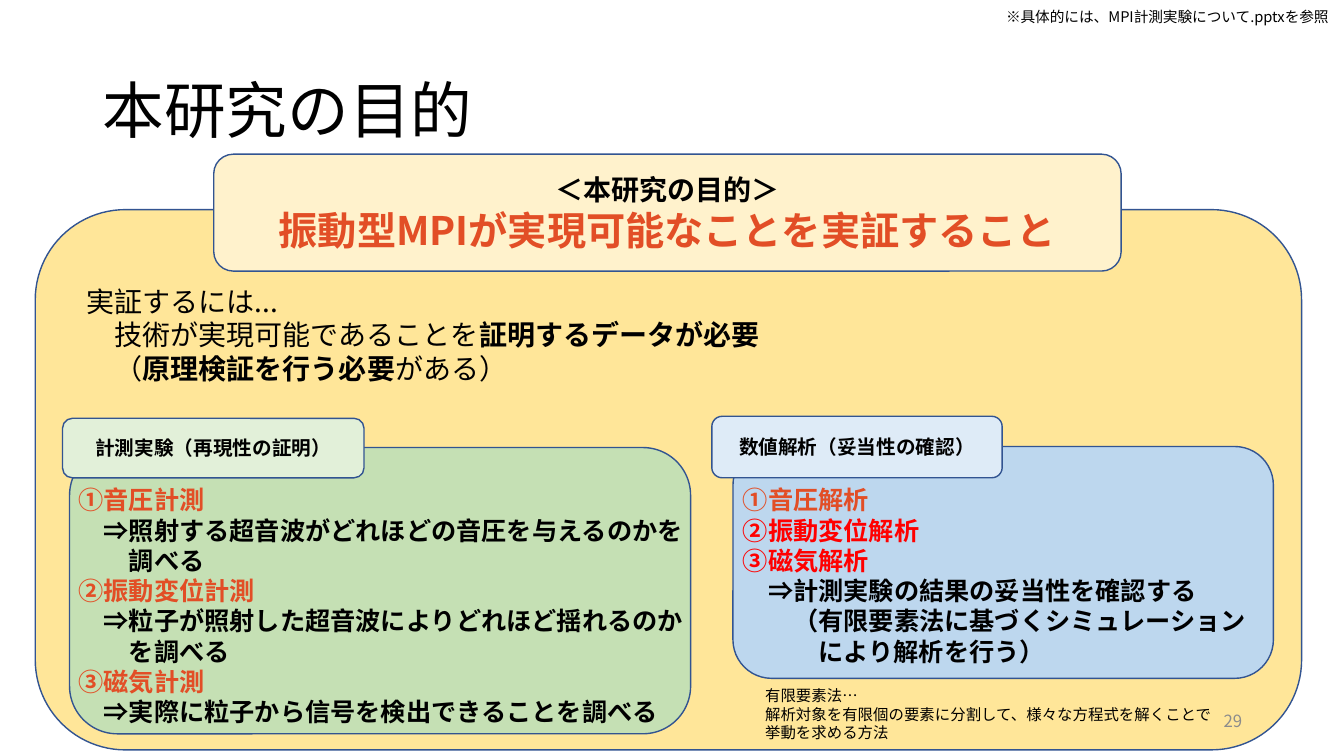
from pptx import Presentation
from pptx.util import Emu, Pt
from pptx.dml.color import RGBColor
from pptx.enum.shapes import MSO_SHAPE
from pptx.enum.text import MSO_ANCHOR, PP_ALIGN
from pptx.oxml.ns import qn
from lxml import etree

PX = 9144  # 100 px to the inch
FONT = "Noto Sans CJK JP"
ROUND = MSO_SHAPE.ROUNDED_RECTANGLE
TOP, MID = MSO_ANCHOR.TOP, MSO_ANCHOR.MIDDLE
LEFT, CENTER, RIGHT = PP_ALIGN.LEFT, PP_ALIGN.CENTER, PP_ALIGN.RIGHT
COLORS = {
    "black": "000000", "orange": "E24E26", "red": "FF0000", "gray": "8C8C8C",
    "line": "325491", "gold": "FFE699", "cream": "FFF2CC",
    "green": "C5E0B4", "mint": "E2F0D9", "blue": "BDD7EE", "sky": "DEEBF7",
}


def color(name):
    return RGBColor.from_string(COLORS[name])


def style(run, size, tint="black", bold=False):
    font = run.font
    font.size, font.bold, font.name = Pt(size), bold, FONT
    font.color.rgb = color(tint)
    east = etree.SubElement(run._r.get_or_add_rPr(), qn("a:ea"))
    east.set("typeface", FONT)


def para(text, tint="black", bold=False, left=0, first=0, size=None):
    """One paragraph of a single run; indents are in em."""
    return {"runs": [(text, tint, bold)], "left": left, "first": first,
            "size": size}


def write(shape, paras, size, align=LEFT, anchor=TOP):
    frame = shape.text_frame
    frame.word_wrap = True
    frame.vertical_anchor = anchor
    for i, item in enumerate(paras):
        p = frame.add_paragraph() if i else frame.paragraphs[0]
        p.alignment = align
        points = item["size"] or size
        props = p._p.get_or_add_pPr()
        props.set("marL", str(Pt(points * item["left"])))
        props.set("indent", str(Pt(points * item["first"])))
        for text, tint, bold in item["runs"]:
            for n, part in enumerate(text.split("\n")):
                if n:
                    p.add_line_break()
                run = p.add_run()
                run.text = part
                style(run, points, tint, bold)
    return frame


def label(slide, box, paras, size, align=LEFT, anchor=TOP):
    shape = slide.shapes.add_textbox(*(Emu(v * PX) for v in box))
    return write(shape, paras, size, align, anchor)


def card(slide, box, fill):
    shape = slide.shapes.add_shape(ROUND, *(Emu(v * PX) for v in box))
    shape.shadow.inherit = False
    shape.fill.solid()
    shape.fill.fore_color.rgb = color(fill)
    shape.line.color.rgb = color("line")
    shape.line.width = Pt(1)
    return shape


def header(slide, box):
    x, y, w, h = box
    title = label(slide, (x + 92, y + 40, 1150, 145),
                  [para("本研究の目的")], 44, anchor=MID)
    title.paragraphs[0].line_spacing = 0.9
    label(slide, (x + w - 345, y + 3, 345, 28),
          [para("※具体的には、MPI計測実験について.pptxを参照")], 10.5)


def goal(slide, box):
    x, y, w, h = box
    card(slide, box, "gold")
    banner = card(slide, (x + 177, y - 55, 900, 116), "cream")
    write(banner, [
        para("＜本研究の目的＞", bold=True, size=20),
        para("振動型MPIが実現可能なことを実証すること", "orange", True, size=28),
    ], 20, CENTER, MID)
    need = para("技術が実現可能であることを", left=1)
    need["runs"].append(("証明するデータが必要", "black", True))
    proof = para("（", left=1)
    proof["runs"] += [("原理検証を行う必要", "black", True),
                      ("がある）", "black", False)]
    label(slide, (x + 41, y + 69, 722, 111),
          [para("実証するには..."), need, proof], 20)


def panel(slide, box, fill, tab, tint, name, text, paras):
    """Rounded panel with a tab; tab and text boxes are offsets to box."""
    x, y = box[:2]
    card(slide, box, fill)
    top = card(slide, (x + tab[0], y + tab[1], *tab[2:]), tint)
    write(top, [para(name, bold=True)], 14, CENTER, MID)
    label(slide, (x + text[0], y + text[1], *text[2:]), paras, 18)


def footer(slide, box):
    x, y, w, h = box
    label(slide, (x, y, 465, h), [
        para("有限要素法…"),
        para("解析対象を有限個の要素に分割して、様々な方程式を解くことで"
             "挙動を求める方法"),
    ], 11)
    label(slide, (x + w - 300, y + 19, 300, 40),
          [para("29", "gray")], 12, RIGHT, MID)


def head(text, tint="orange"):
    return para(text, tint, True)


def point(text):
    return para(text, bold=True, left=2, first=-1)


def main():
    deck = Presentation()
    deck.slide_width, deck.slide_height = Emu(1333 * PX), Emu(750 * PX)
    slide = deck.slides.add_slide(deck.slide_layouts[6])

    # Title, aim and reasoning
    header(slide, (0, 0, 1333, 185))
    goal(slide, (35, 208, 1256, 536))

    # Measurement experiments
    panel(slide, (69, 444, 616, 284), "green", (-7, -29, 299, 59), "mint",
          "計測実験（再現性の証明）", (-1, 32, 638, 252), [
              head("➀音圧計測"),
              point("⇒照射する超音波がどれほどの音圧を与えるのかを\n調べる"),
              head("②振動変位計測"),
              point("⇒粒子が照射した超音波によりどれほど揺れるのか\nを調べる"),
              head("③磁気計測"),
              point("⇒実際に粒子から信号を検出できることを調べる"),
          ])

    # Numerical analysis
    panel(slide, (727, 443, 536, 230), "blue", (-21, -30, 288, 61), "sky",
          "数値解析（妥当性の確認）", (0, 33, 537, 192), [
              head("➀音圧解析"),
              head("②振動変位解析", "red"),
              head("③磁気解析", "red"),
              point("⇒計測実験の結果の妥当性を確認する"),
              para("（有限要素法に基づくシミュレーション\nにより解析を行う）",
                   bold=True, left=3, first=-1),
          ])

    # Method note and page number
    footer(slide, (749, 676, 493, 66))
    deck.save("out.pptx")


if __name__ == "__main__":
    main()
